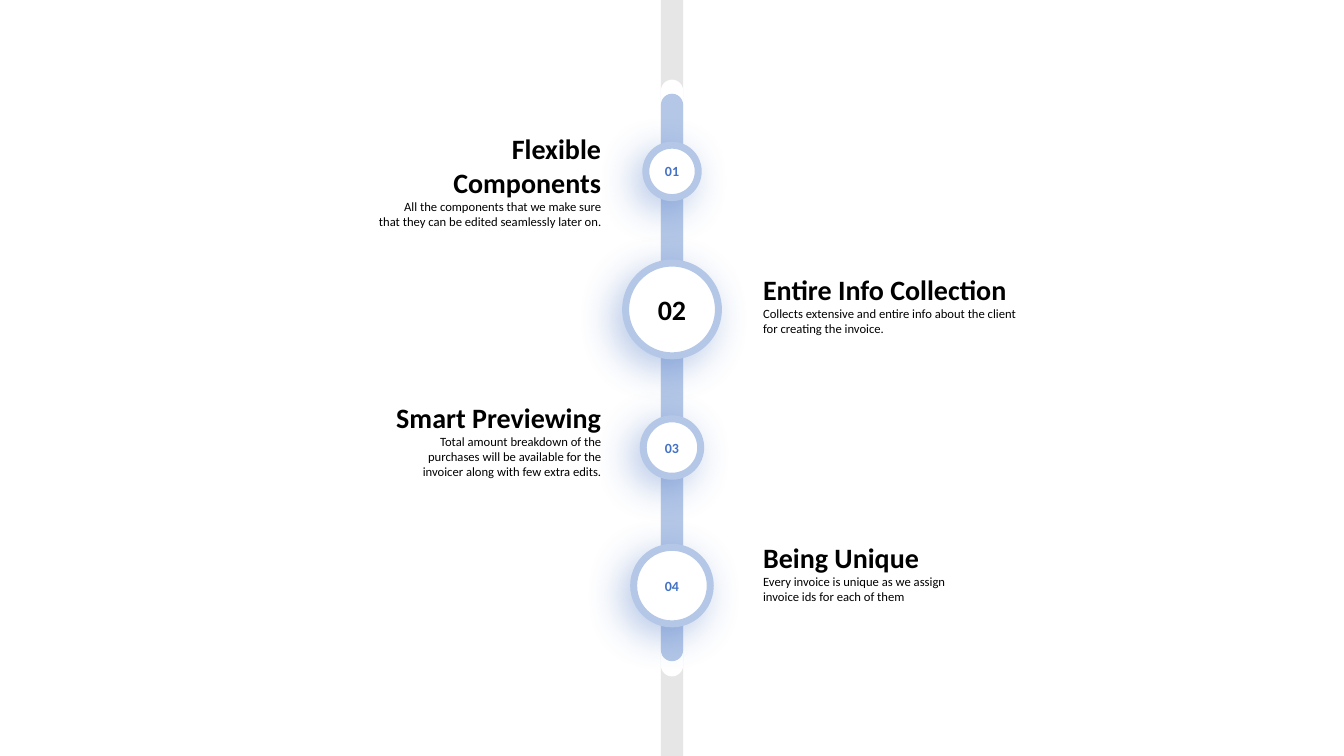
from dataclasses import dataclass

from lxml import etree
from pptx import Presentation
from pptx.dml.color import RGBColor
from pptx.enum.shapes import MSO_SHAPE
from pptx.enum.text import MSO_ANCHOR, MSO_AUTO_SIZE, PP_ALIGN
from pptx.oxml.ns import qn
from pptx.util import Inches, Pt

ROUNDED = MSO_SHAPE.ROUNDED_RECTANGLE
OVAL = MSO_SHAPE.OVAL
MIDDLE = MSO_ANCHOR.MIDDLE
FIT_SHAPE = MSO_AUTO_SIZE.SHAPE_TO_FIT_TEXT
LEFT, CENTER, RIGHT = PP_ALIGN.LEFT, PP_ALIGN.CENTER, PP_ALIGN.RIGHT

FONT = "Calibri"
COLORS = {
    "track": "E6E6E6",
    "white": "FFFFFF",
    "pale blue": "B4C7E7",
    "blue": "4472C4",
    "black": "000000",
}
SLIDE_WIDTH, SLIDE_HEIGHT = 13.33, 7.5
AXIS_X = SLIDE_WIDTH / 2
BAR_WIDTH = 0.22
FIRST_CENTER_Y, STEP_Y = 1.7, 1.37
LEFT_TEXT_EDGE, RIGHT_TEXT_EDGE = 6.06, 7.47


@dataclass
class Bar:
    top: float
    height: float
    color: str


@dataclass
class Milestone:
    diameter: float
    text_top: float
    text_width: float
    text_height: float
    title: str
    details: list[str]
    number_size: int = 10
    number_color: str = "blue"


BARS = [
    Bar(-0.37, 8.25, "track"),
    Bar(0.79, 5.92, "white"),
    Bar(0.93, 5.63, "pale blue"),
]
MILESTONES = [
    Milestone(0.52, 1.26, 2.61, 0.74, "Flexible Components",
              ["All the components that we make sure",
               "that they can be edited seamlessly later on."]),
    Milestone(0.92, 2.65, 2.73, 0.74, "Entire Info Collection",
              ["Collects extensive and entire info about the client "
               "for creating the invoice."], 20, "black"),
    Milestone(0.57, 3.92, 2.29, 0.89, "Smart Previewing",
              ["Total amount breakdown of the purchases will be available "
               "for the invoicer along with few extra edits."]),
    Milestone(0.76, 5.31, 2.29, 0.74, "Being Unique",
              ["Every invoice is unique as we assign invoice ids "
               "for each of them"]),
]


def rgb(name: str) -> RGBColor:
    return RGBColor.from_string(COLORS[name])


def format_paragraph(paragraph, text: str, size: int, color: str,
                     bold: bool, alignment) -> None:
    paragraph.text = text
    paragraph.alignment = alignment
    paragraph.font.name = FONT
    paragraph.font.size = Pt(size)
    paragraph.font.bold = bold
    paragraph.font.color.rgb = rgb(color)


def add_axis_shape(slide, kind, top: float, width: float, height: float,
                   color: str):
    """Add a plain filled shape centred on the vertical axis."""
    shape = slide.shapes.add_shape(kind, Inches(AXIS_X - width / 2), Inches(top),
                                   Inches(width), Inches(height))
    shape.shadow.inherit = False
    shape.fill.solid()
    shape.fill.fore_color.rgb = rgb(color)
    shape.line.fill.background()
    return shape


def add_bar(slide, bar: Bar) -> None:
    shape = add_axis_shape(slide, ROUNDED, bar.top, BAR_WIDTH, bar.height, bar.color)
    shape.adjustments[0] = 0.5


def add_glow_shadow(shape) -> None:
    """Cast a soft blue shadow to the lower left."""
    effects = shape._element.spPr.find(qn("a:effectLst"))
    shadow = etree.SubElement(effects, qn("a:outerShdw"), blurRad=str(Pt(28)),
                              dist=str(Pt(9)), dir=str(135 * 60000),
                              algn="tr", rotWithShape="0")
    color = etree.SubElement(shadow, qn("a:srgbClr"), val=COLORS["blue"])
    etree.SubElement(color, qn("a:alpha"), val="39000")


def add_circle(slide, milestone: Milestone, index: int) -> None:
    diameter = milestone.diameter
    top = FIRST_CENTER_Y + index * STEP_Y - diameter / 2
    circle = add_axis_shape(slide, OVAL, top, diameter, diameter, "white")
    circle.line.color.rgb = rgb("pale blue")
    circle.line.width = Pt(5)
    add_glow_shadow(circle)
    frame = circle.text_frame
    frame.margin_left = frame.margin_right = 0
    frame.margin_top = frame.margin_bottom = 0
    frame.vertical_anchor = MIDDLE
    format_paragraph(frame.paragraphs[0], f"{index + 1:02}", milestone.number_size,
                     milestone.number_color, True, CENTER)


def add_description(slide, milestone: Milestone, index: int) -> None:
    on_left = index % 2 == 0
    left = LEFT_TEXT_EDGE - milestone.text_width if on_left else RIGHT_TEXT_EDGE
    alignment = RIGHT if on_left else LEFT
    box = slide.shapes.add_textbox(Inches(left), Inches(milestone.text_top),
                                   Inches(milestone.text_width),
                                   Inches(milestone.text_height))
    frame = box.text_frame
    frame.word_wrap = True
    frame.auto_size = FIT_SHAPE
    format_paragraph(frame.paragraphs[0], milestone.title, 20, "black", True, alignment)
    for detail in milestone.details:
        format_paragraph(frame.add_paragraph(), detail, 9, "black", False, alignment)


def main() -> None:
    presentation = Presentation()
    presentation.slide_width = Inches(SLIDE_WIDTH)
    presentation.slide_height = Inches(SLIDE_HEIGHT)
    blank_layout = presentation.slide_layouts[6]
    slide = presentation.slides.add_slide(blank_layout)
    for bar in BARS:
        add_bar(slide, bar)
    for add_part in (add_circle, add_description):
        for index, milestone in enumerate(MILESTONES):
            add_part(slide, milestone, index)
    presentation.save("out.pptx")


if __name__ == "__main__":
    main()
